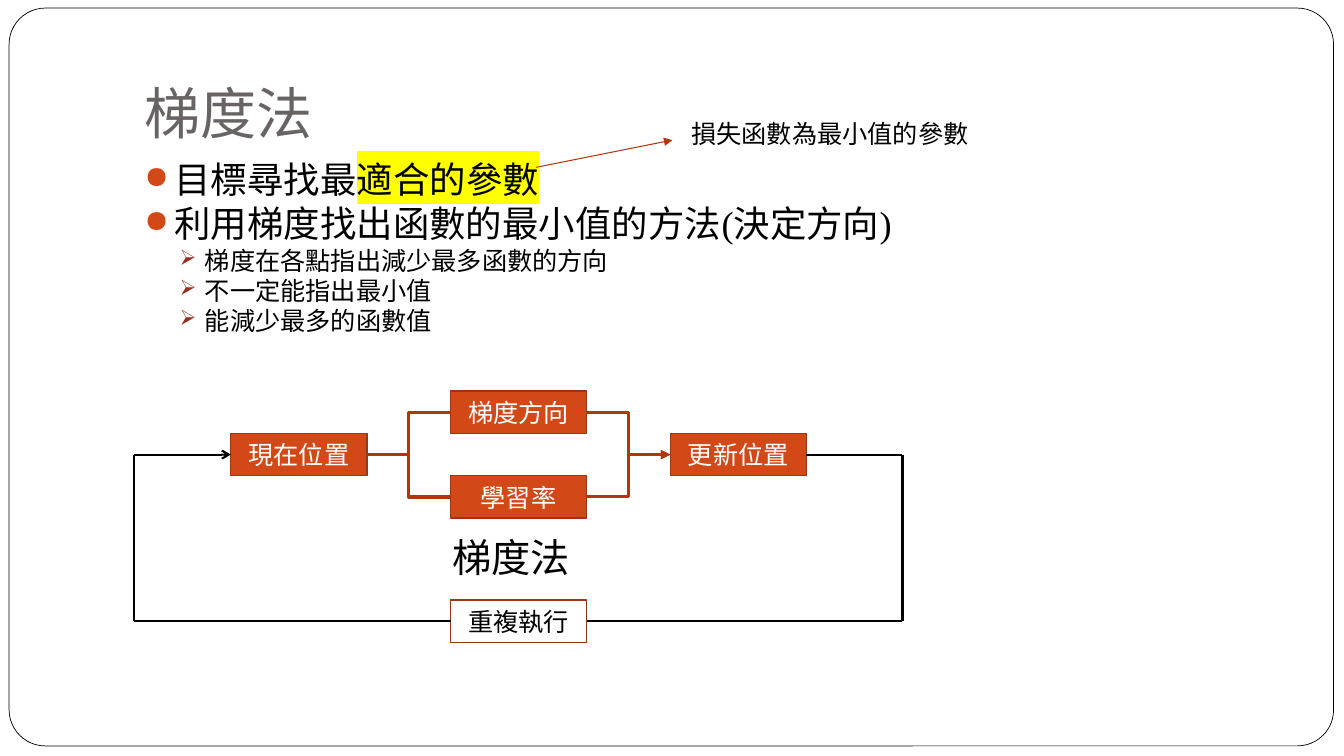
from lxml import etree
from pptx import Presentation
from pptx.dml.color import RGBColor
from pptx.enum.shapes import MSO_CONNECTOR, MSO_SHAPE
from pptx.enum.text import MSO_ANCHOR, PP_ALIGN
from pptx.oxml.ns import qn
from pptx.util import Inches, Pt

RECT, ROUND = MSO_SHAPE.RECTANGLE, MSO_SHAPE.ROUNDED_RECTANGLE
STRAIGHT, ELBOW = MSO_CONNECTOR.STRAIGHT, MSO_CONNECTOR.ELBOW
TOP, MIDDLE, BOTTOM = MSO_ANCHOR.TOP, MSO_ANCHOR.MIDDLE, MSO_ANCHOR.BOTTOM
LEFT, CENTER = PP_ALIGN.LEFT, PP_ALIGN.CENTER
COLUMNS, ROWS = 40, 22.5
BLACK, WHITE, ORANGE = "000000", "FFFFFF", "D34817"
BORDER, ARROW, RED, GREY = "9C3511", "B1360B", "9B2D1F", "696464"
SERIF = "Times New Roman"


def rgb(value):
    return RGBColor.from_string(value)


def sub(parent, tag, **attrs):
    return etree.SubElement(parent, qn(tag), attrs)


class Board:
    def __init__(self, prs):
        self.width, self.height = prs.slide_width, prs.slide_height
        self.shapes = prs.slides.add_slide(prs.slide_layouts[6]).shapes

    def x(self, columns):
        return round(self.width * columns / COLUMNS)

    def y(self, rows):
        return round(self.height * rows / ROWS)

    def area(self, left, top, width, height):
        return self.x(left), self.y(top), self.x(width), self.y(height)

    def run(self, p, text, size, color=BLACK, font=SERIF, highlight=None):
        r = p.add_run()
        r.text = text
        r.font.size, r.font.name = Pt(size), font
        r.font.color.rgb = rgb(color)
        if highlight:
            mark = etree.Element(qn("a:highlight"))
            sub(mark, "a:srgbClr", val=highlight)
            r.font.fill._xPr.find(qn("a:solidFill")).addnext(mark)

    def box(self, area, fill, line, weight, text=None, color=WHITE, kind=RECT):
        s = self.shapes.add_shape(kind, *self.area(*area))
        s.shadow.inherit = False
        if fill:
            s.fill.solid()
            s.fill.fore_color.rgb = rgb(fill)
        else:
            s.fill.background()
        s.line.color.rgb, s.line.width = rgb(line), Pt(weight)
        if text:
            tf = s.text_frame
            tf.vertical_anchor = MIDDLE
            p = tf.paragraphs[0]
            p.alignment = CENTER
            self.run(p, text, 18, color)
        return s

    def text_frame(self, area, wrap=True, anchor=TOP):
        tf = self.shapes.add_textbox(*self.area(*area)).text_frame
        tf.word_wrap, tf.vertical_anchor = wrap, anchor
        return tf

    def label(self, area, text, size, color=BLACK, font=SERIF, wrap=False, anchor=TOP):
        tf = self.text_frame(area, wrap, anchor)
        self.run(tf.paragraphs[0], text, size, color, font)
        return tf

    def bullet(self, p, parts, size, before, indent, hang, symbol, color):
        p.alignment, p.space_before, p.line_spacing = LEFT, Pt(before), 0.83
        pPr = p._p.get_or_add_pPr()
        pPr.set("marL", str(Inches(indent)))
        pPr.set("indent", str(-Inches(hang)))
        sub(sub(pPr, "a:buClr"), "a:srgbClr", val=color)
        sub(pPr, "a:buSzPct", val="85000")
        sub(pPr, "a:buChar", char=symbol)
        for text, highlight in parts:
            self.run(p, text, size, highlight=highlight)

    def line(self, start, end, color, weight, head=None, kind=STRAIGHT):
        s = self.shapes.add_connector(
            kind, self.x(start[0]), self.y(start[1]), self.x(end[0]), self.y(end[1]))
        s.line.color.rgb, s.line.width = rgb(color), Pt(weight)
        if head:
            sub(s.line._get_or_add_ln(), "a:tailEnd", type=head)
        sub(s._element.spPr, "a:effectLst")


def add_heading(board):
    frame = board.box((0.27, 0.24, 39.42, 21.96), WHITE, BLACK, 0.5, kind=ROUND)
    frame.adjustments[0] = 0.049
    title = board.label((4, 0.9, 34, 3.75), "梯度法", 40, GREY, "Cabin", True, BOTTOM)
    title.margin_bottom = Inches(0.1)


def add_bullets(board):
    tf = board.text_frame((4, 4.74, 34, 7.86))
    main = (26, 5.8, 0.3, 0.3, "●", ORANGE)
    detail = (18, 3.7, 0.6, 0.25, "➢", RED)
    items = [
        ([("目標尋找最", None), ("適合的參數", "FFFF00")], main),
        ([("利用梯度找出函數的最小值的方法(決定方向)", None)], main),
        ([("梯度在各點指出減少最多函數的方向", None)], detail),
        ([("不一定能指出最小值", None)], detail),
        ([("能減少最多的函數值", None)], detail),
    ]
    for i, (parts, style) in enumerate(items):
        p = tf.add_paragraph() if i else tf.paragraphs[0]
        board.bullet(p, parts, *style)
    board.line((15.96, 4.98), (20.01, 4.17), ARROW, 0.75, "triangle")
    board.label((20.28, 3.36, 8.94, 1.2), "損失函數為最小值的參數", 18)


def add_cycle(board):
    width, height, pitch = 4.05, 1.26, 6.54
    first, middle, last = (6.87 + pitch * i for i in range(3))
    upper, centre, lower = (11.64 + height * i for i in range(3))
    half = height / 2
    axis, repeat = centre + half, 17.86
    outer_left, outer_right = 4, 26.86
    steps = [
        (first, centre, "現在位置"), (middle, upper, "梯度方向"),
        (middle, lower, "學習率"), (last, centre, "更新位置"),
    ]
    for left, top, text in steps:
        board.box((left, top, width, height), ORANGE, BORDER, 1, text)
    board.box((middle, repeat, width, height), None, BORDER, 1, "重複執行", BLACK)

    base = repeat + half
    loop = [
        ((last + width, axis), (outer_right, axis), None),
        ((outer_right, base), (outer_right, axis), None),
        ((outer_right, base), (middle + width, base), None),
        ((middle, base), (outer_left, base), None),
        ((outer_left, base), (outer_left, axis), None),
        ((outer_left, axis), (first, axis), "arrow"),
    ]
    for start, end, head in loop:
        board.line(start, end, BLACK, 1.5, head)
    for top in (lower, upper):
        branch = top + half
        board.line((first + width, axis), (middle, branch), ARROW, 2.25, kind=ELBOW)
        board.line((middle + width, branch), (last, axis), ARROW, 2.25, "triangle", ELBOW)
    board.label((13.17, 15.72, 4.14, 1.71), "梯度法", 28, font="Arial")


def main():
    prs = Presentation()
    prs.slide_width, prs.slide_height = Inches(13.33), Inches(7.5)
    board = Board(prs)
    add_heading(board)
    add_bullets(board)
    add_cycle(board)
    prs.save("out.pptx")


if __name__ == "__main__":
    main()
